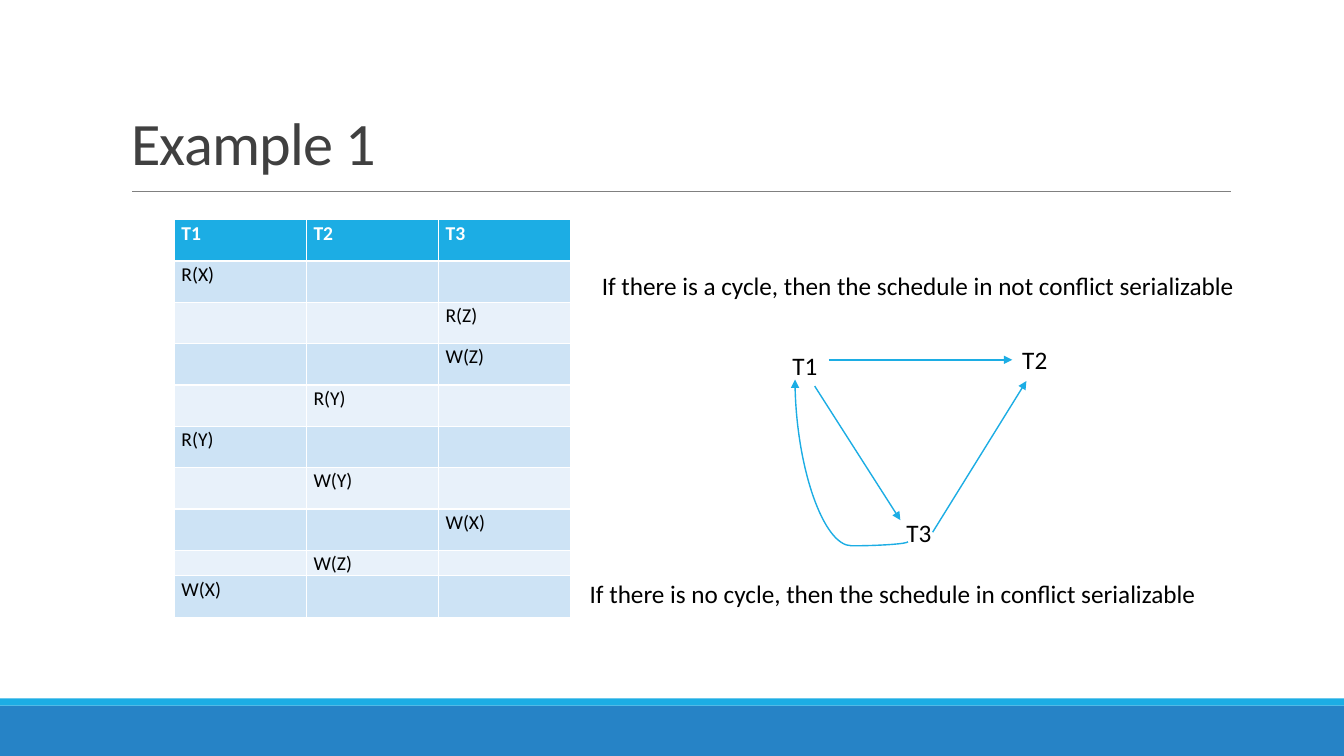
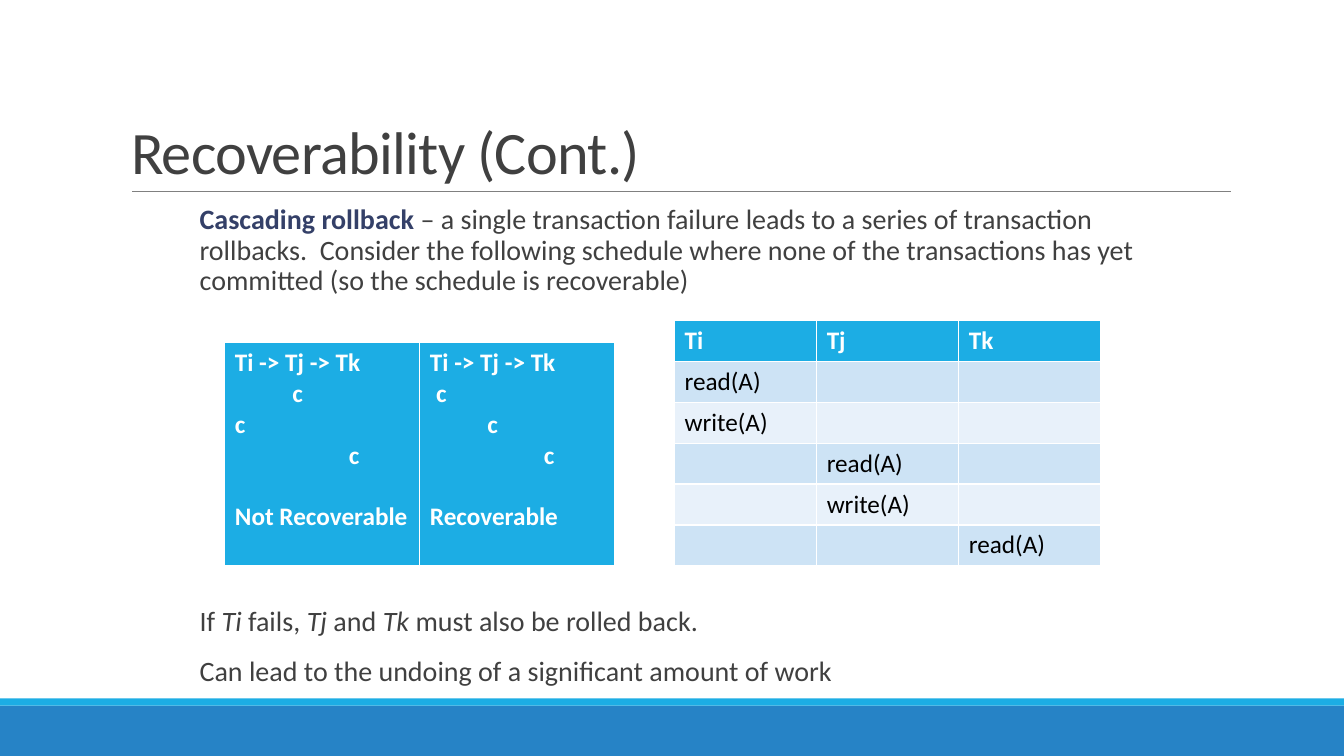
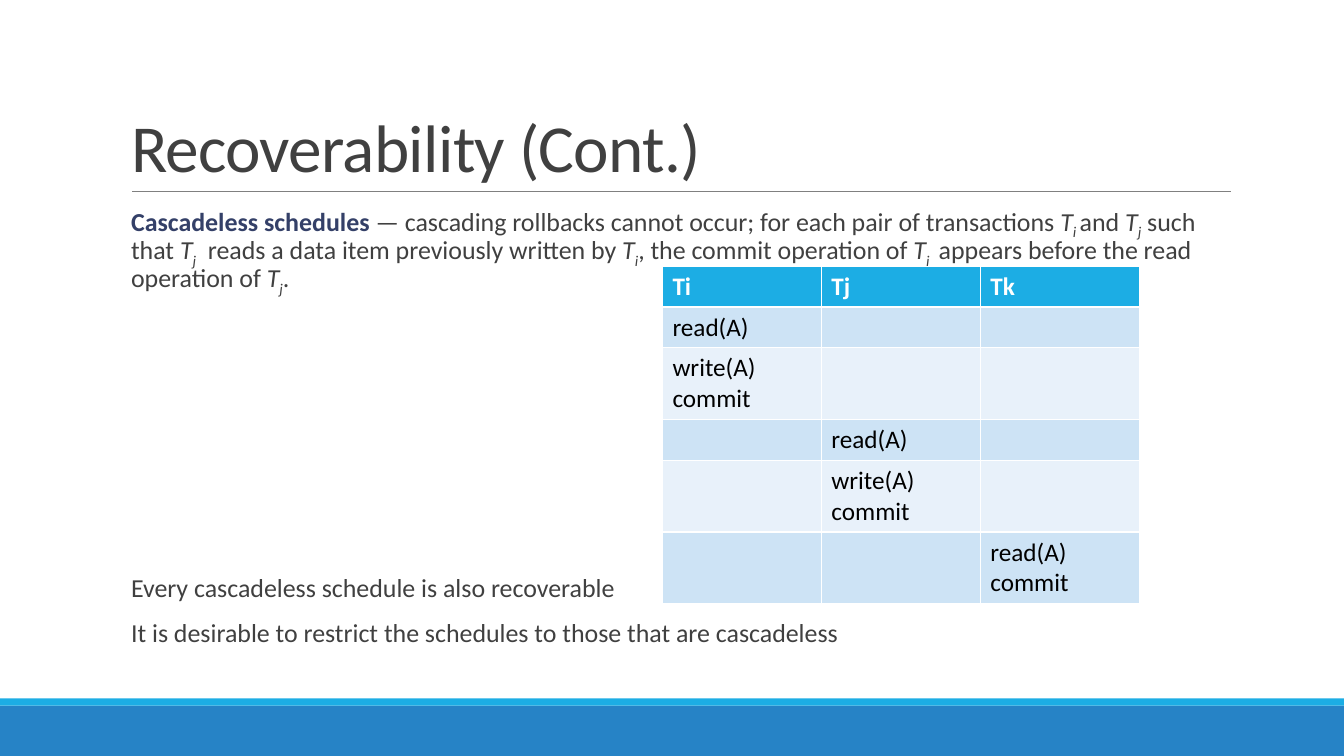
from lxml import etree
from pptx import Presentation
from pptx.dml.color import RGBColor
from pptx.enum.shapes import MSO_CONNECTOR, MSO_SHAPE
from pptx.enum.text import MSO_ANCHOR, MSO_AUTO_SIZE
from pptx.oxml.ns import qn
from pptx.util import Inches, Pt

STRAIGHT, CURVE = MSO_CONNECTOR.STRAIGHT, MSO_CONNECTOR.CURVE
RECTANGLE = MSO_SHAPE.RECTANGLE
BOTTOM, TOP = MSO_ANCHOR.BOTTOM, MSO_ANCHOR.TOP
NO_AUTOFIT = MSO_AUTO_SIZE.NONE

FONT = "Calibri"
HEX = {
    "band": "2683C6", "accent": "1CADE4", "rule": "808080",
    "title": "404040", "body": "404040", "term": "344068",
    "dark_row": "CDE3F5", "light_row": "E8F1FA",
    "white": "FFFFFF", "black": "000000",
}
COLORS = {name: RGBColor.from_string(value) for name, value in HEX.items()}


def add_grid(slide, left, top, width, heights, rows, size=18, margins=None, spacing=None):
    """Add a table with equal columns, a coloured header and banded rows."""
    columns = len(rows[0])
    grid = slide.shapes.add_table(len(rows), columns, Inches(left), Inches(top),
                                  Inches(width), Inches(sum(heights))).table
    for column in grid.columns:
        column.width = Inches(width / columns)
    for r, (texts, height) in enumerate(zip(rows, heights)):
        grid.rows[r].height = Inches(height)
        fill = "accent" if r == 0 else ("light_row", "dark_row")[r % 2]
        for c, text in enumerate(texts):
            cell = grid.cell(r, c)
            cell.fill.solid()
            cell.fill.fore_color.rgb = COLORS[fill]
            if margins:
                cell.margin_left = cell.margin_right = Inches(margins[0])
                cell.margin_top = cell.margin_bottom = Inches(margins[1])
            cell.text = text
            for para in cell.text_frame.paragraphs:
                para.line_spacing = spacing
                para.font.name = FONT
                para.font.size = Pt(size)
                para.font.bold = r == 0
                para.font.color.rgb = COLORS["white" if r == 0 else "black"]
    return grid


def fill_body(slide, box, size, line_spacing, paragraphs):
    """Fill the body; each paragraph is (space before, [(text, style), ...])."""
    body = slide.placeholders[1]
    body.left, body.top, body.width, body.height = [Inches(n) for n in box]
    frame = body.text_frame
    frame.auto_size = NO_AUTOFIT
    frame.vertical_anchor = TOP
    frame.margin_left = frame.margin_right = 0
    for index, (before, pieces) in enumerate(paragraphs):
        para = frame.paragraphs[0] if index == 0 else frame.add_paragraph()
        para.line_spacing = line_spacing
        para.space_before, para.space_after = Pt(before), Pt(2)
        para.font.name = FONT
        para.font.size = Pt(size)
        para.font.color.rgb = COLORS["body"]
        for text, style in pieces:
            span = para.add_run()
            span.text = text
            if style == "term":
                span.font.bold = True
                span.font.color.rgb = COLORS["term"]
            elif style in ("italic", "sub"):
                span.font.italic = True
            if style == "sub":
                span._r.get_or_add_rPr().set("baseline", "-25000")


deck = Presentation()
deck.slide_width, deck.slide_height = Inches(13.33), Inches(7.5)
master = deck.slide_master

# Shared text styles: left, tight titles and body text without bullets
title_style = master.element.xpath("p:txStyles/p:titleStyle/a:lvl1pPr")[0]
title_style.set("algn", "l")
title_style.find(qn("a:defRPr")).set("spc", "-50")
body_style = master.element.xpath("p:txStyles/p:bodyStyle/a:lvl1pPr")[0]
body_style.set("marL", str(Inches(0.1)))
body_style.set("indent", "0")
bullet = body_style.find(qn("a:buChar"))
body_style.replace(bullet, etree.Element(qn("a:buNone")))

# Slides and titles: layout, title, top, size
slides = []
for layout, title, top, size in [
    (5, "Example 1", 0.22, 43),
    (1, "Recoverability (Cont.)", 0.31, 43),
    (1, "Recoverability (Cont.)", 0.31, 48),
]:
    slide = deck.slides.add_slide(deck.slide_layouts[layout])
    heading = slide.shapes.title
    heading.left, heading.top = Inches(1.2), Inches(top)
    heading.width, heading.height = Inches(11), Inches(1.59)
    heading.text_frame.text = title
    heading.text_frame.auto_size = NO_AUTOFIT
    heading.text_frame.vertical_anchor = BOTTOM
    para = heading.text_frame.paragraphs[0]
    para.line_spacing = 0.85
    para.font.name = FONT
    para.font.size = Pt(size)
    para.font.color.rgb = COLORS["title"]
    slides.append(slide)
example, cascading, cascadeless = slides

# Footer bands and title rule, moved to the master
decor = []
for top, height, color in [(7, 0.5, "band"), (6.93, 0.07, "accent")]:
    band = example.shapes.add_shape(RECTANGLE, 0, Inches(top),
                                    deck.slide_width, Inches(height))
    band.shadow.inherit = False
    band.fill.solid()
    band.fill.fore_color.rgb = COLORS[color]
    band.line.fill.background()
    decor.append(band)
rule = example.shapes.add_connector(STRAIGHT, Inches(1.31), Inches(1.9),
                                    Inches(12.21), Inches(1.9))
rule.line.color.rgb = COLORS["rule"]
rule.line.width = Pt(0.5)
etree.SubElement(rule.element.spPr, qn("a:effectLst"))
decor.append(rule)
for index, shape in enumerate(decor):
    shape.element.xpath(".//p:cNvPr")[0].set("id", str(20 + index))
    master.shapes.element.insert(2 + index, shape.element)

# Example 1: schedule, one operation a row
operations = [(0, "R(X)"), (2, "R(Z)"), (2, "W(Z)"), (1, "R(Y)"), (0, "R(Y)"),
              (1, "W(Y)"), (2, "W(X)"), (1, "W(Z)"), (0, "W(X)")]
rows = [["T1", "T2", "T3"]]
rows += [[text if c == column else "" for c in range(3)] for column, text in operations]
add_grid(example, 1.73, 2.18, 3.93, [0.41] * 8 + [0.25, 0.41], rows,
         size=14, margins=(0.07, 0), spacing=1.07)

# Example 1: statements and graph nodes
labels = {}
for text, left, top, width, wrap in [
    ("If there is a cycle, then the schedule in not conflict serializable",
     5.87, 2.63, 6.61, False),
    ("If there is no cycle, then the schedule in conflict serializable",
     5.75, 5.69, 6.35, False),
    ("T1", 7.76, 3.43, 0.64, True),
    ("T2", 10.04, 3.37, 0.52, True),
    ("T3", 8.89, 5.08, 0.72, True),
]:
    label = example.shapes.add_textbox(Inches(left), Inches(top), Inches(width), Inches(0.4))
    label.text_frame.word_wrap = wrap
    label.text_frame.text = text
    para = label.text_frame.paragraphs[0]
    para.font.name = FONT
    para.font.size = Pt(18)
    para.font.color.rgb = COLORS["black"]
    labels[text] = label

# Example 1: precedence arrows
arrows = []
for kind, x1, y1, x2, y2 in [
    (STRAIGHT, 8.22, 3.57, 10.04, 3.57),
    (STRAIGHT, 9.25, 5.28, 10.18, 3.78),
    (STRAIGHT, 8.08, 3.83, 8.93, 5.16),
    (CURVE, 7.64, 4.01, 9.25, 5.13),
]:
    arrow = example.shapes.add_connector(kind, Inches(x1), Inches(y1), Inches(x2), Inches(y2))
    arrow.line.color.rgb = COLORS["accent"]
    arrow.line.width = Pt(1)
    properties = arrow.element.spPr
    etree.SubElement(properties.find(qn("a:ln")), qn("a:tailEnd"), type="triangle")
    etree.SubElement(properties, qn("a:effectLst"))
    arrows.append(arrow)
arrows[0].end_connect(labels["T2"], 1)
arrows[2].begin_connect(labels["T1"], 2)

# The curve leaves T3 to the left and turns up to T1
curve = arrows[3].element.spPr
curve.find(qn("a:xfrm")).set("rot", "16200000")
curve.find(qn("a:xfrm")).set("flipV", "1")
guides = curve.find(qn("a:prstGeom")).find(qn("a:avLst"))
etree.SubElement(guides, qn("a:gd"), name="adj1", fmla="val -2500")

# Cascading rollback: text
fill_body(cascading, (1.88, 1.99, 9.63, 5.06), 20, 0.9, [
    (0, [("Cascading rollback", "term"),
         (" – a single transaction failure leads to a series of transaction rollbacks.  "
          "Consider the following schedule where none of the transactions has yet "
          "committed (so the schedule is recoverable)", "")]),
    (220, [("If ", ""), ("Ti", "italic"), (" fails, ", ""), ("Tj", "italic"), (" and ", ""),
           ("Tk", "italic"), (" must also be rolled back.", "")]),
    (12, [("Can lead to the undoing of a significant amount of work", "")]),
])

# Cascading rollback: schedule
header = ["Ti", "Tj", "Tk"]
add_grid(cascading, 6.69, 3.18, 4.23, [0.4] * 6, [
    header,
    ["read(A)", "", ""],
    ["write(A)", "", ""],
    ["", "read(A)", ""],
    ["", "write(A)", ""],
    ["", "", "read(A)"],
])

# Cascading rollback: commit orders, each commit indented below its transaction
order = "Ti -> Tj -> Tk\nc\nc\nc\n"
commits = add_grid(cascading, 2.23, 3.4, 3.87, [2.21],
                   [[order + "Not Recoverable", order + "Recoverable"]])
for column, indents in enumerate([(0.57, 0, 1.13), (0.06, 0.57, 1.13)]):
    paras = commits.cell(0, column).text_frame.paragraphs
    for para, indent in zip(paras[1:4], indents):
        para._p.get_or_add_pPr().set("marL", str(Inches(indent)))
    paras[4].space_before = Pt(22)

# Cascadeless schedules: text
T, I, J = ("T", "italic"), ("i", "sub"), ("j", "sub")
fill_body(cascadeless, (1.2, 2.02, 11, 4.77), 18.5, 0.8, [
    (0, [("Cascadeless schedules", "term"),
         (" — cascading rollbacks cannot occur; for each pair of transactions ", ""),
         T, ("i ", "sub"), ("and ", ""), T, J, (" such that ", ""), T, J,
         ("  reads a data item previously written by ", ""), T, I,
         (", the commit operation of ", ""), T, ("i ", "sub"),
         (" appears before the read operation of ", ""), T, J, (".", "")]),
    (201, [("Every cascadeless schedule is also recoverable", "")]),
    (12, [("It is desirable to restrict the schedules to those that are cascadeless", "")]),
])

# Cascadeless schedules: schedule
add_grid(cascadeless, 6.57, 2.64, 4.73, [0.4, 0.4, 0.71, 0.4, 0.71, 0.71], [
    header,
    ["read(A)", "", ""],
    ["write(A)\ncommit", "", ""],
    ["", "read(A)", ""],
    ["", "write(A)\ncommit", ""],
    ["", "", "read(A)\ncommit"],
])

deck.save("out.pptx")
